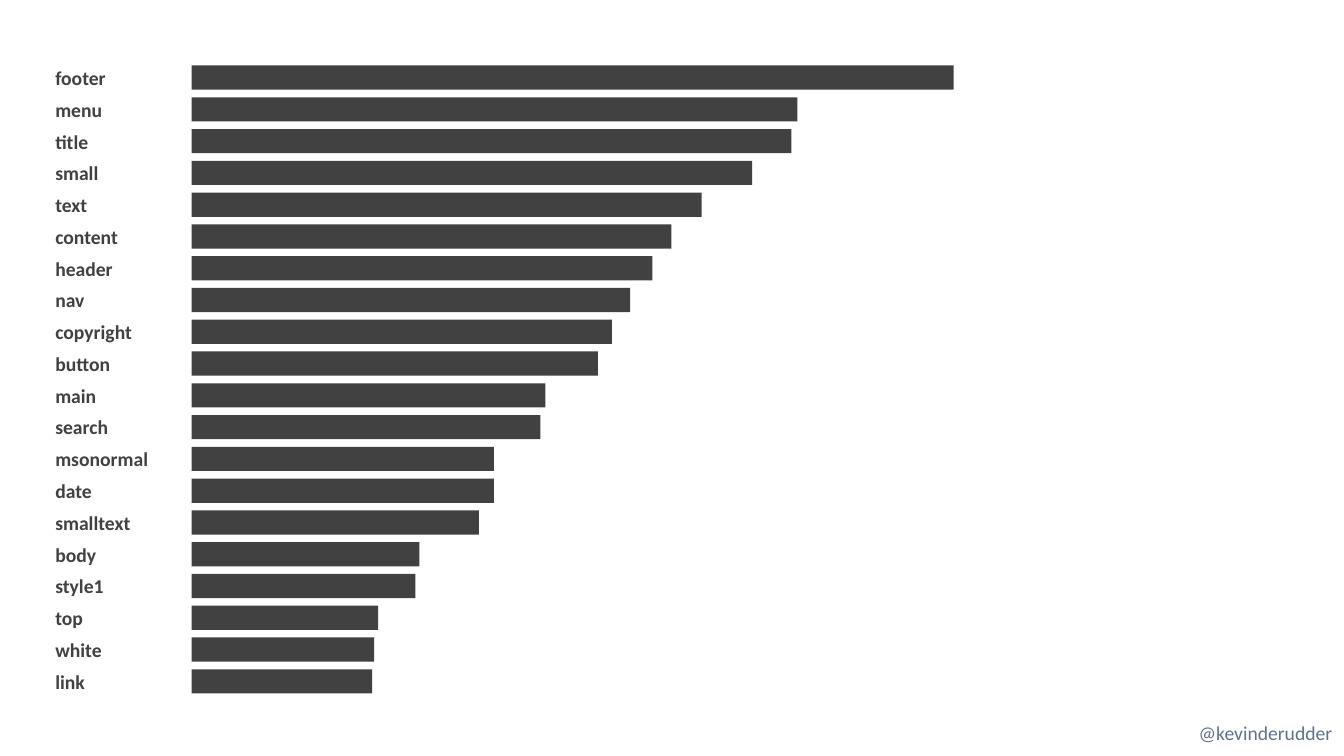
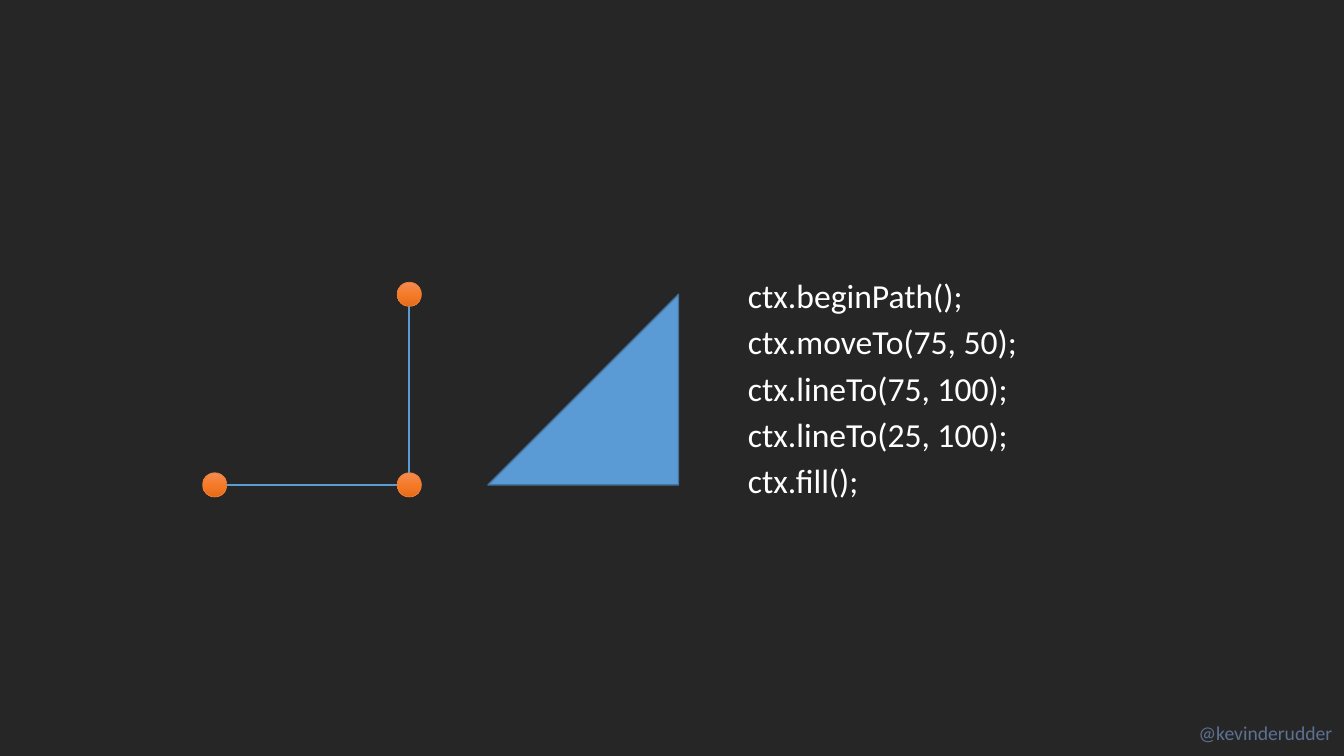
from copy import deepcopy
from dataclasses import dataclass
from itertools import pairwise

from pptx import Presentation
from pptx.dml.color import RGBColor
from pptx.enum.shapes import MSO_CONNECTOR, MSO_SHAPE
from pptx.enum.text import MSO_ANCHOR
from pptx.oxml.ns import qn
from pptx.oxml.xmlchemy import OxmlElement
from pptx.util import Inches, Pt

BARS = [
    ("footer", 7.56), ("menu", 6.01), ("title", 5.95), ("small", 5.56),
    ("text", 5.06), ("content", 4.76), ("header", 4.57), ("nav", 4.35),
    ("copyright", 4.17), ("button", 4.03), ("main", 3.51), ("search", 3.46),
    ("msonormal", 3), ("date", 3), ("smalltext", 2.85), ("body", 2.26),
    ("style1", 2.22), ("top", 1.85), ("white", 1.81), ("link", 1.79),
]
CODE = [
    "ctx.beginPath();",
    "ctx.moveTo(75, 50);",
    "ctx.lineTo(75, 100);",
    "ctx.lineTo(25, 100);",
    "ctx.fill();",
]
HANDLE = "@kevinderudder"
DOTS = [(4.06, 2.92), (4.06, 4.81), (2.13, 4.81)]


@dataclass(frozen=True)
class Theme:
    font: str = "Calibri"
    light: str = "FFFFFF"
    dark: str = "262626"
    bar: str = "414141"
    handle: str = "5D7291"
    blue: str = "5B9BD5"
    edge: str = "43739E"
    orange: str = "ED7D31"
    glow: tuple = ((0, "F18C57"), (0.5, "F67B28"), (1, "E56C19"))
    small: int = 14
    large: int = 24


THEME = Theme()


def rgb(code):
    return RGBColor.from_string(code)


def add_text(slide, lines, box, size=THEME.small, color=THEME.bar,
             bold=False, wrap=True, gap=0, anchor=MSO_ANCHOR.TOP):
    shape = slide.shapes.add_textbox(*map(Inches, box))
    frame = shape.text_frame
    frame.word_wrap = wrap
    frame.vertical_anchor = anchor
    for i, line in enumerate(lines):
        para = frame.add_paragraph() if i else frame.paragraphs[0]
        if i:
            para.space_before = Pt(gap)
        run = para.add_run()
        run.text = line
        font = run.font
        font.name, font.size, font.bold = THEME.font, Pt(size), bold
        font.color.rgb = rgb(color)
    return shape


def add_shape(slide, kind, box, fill=None, line=None, width=1):
    shape = slide.shapes.add_shape(kind, *map(Inches, box))
    shape.shadow.inherit = False
    if fill:
        shape.fill.solid()
        shape.fill.fore_color.rgb = rgb(fill)
    if line:
        shape.line.color.rgb = rgb(line)
        shape.line.width = Pt(width)
    else:
        shape.line.fill.background()
    return shape


def add_line(slide, start, end):
    line = slide.shapes.add_connector(
        MSO_CONNECTOR.STRAIGHT, *map(Inches, (*start, *end)))
    line.line.color.rgb = rgb(THEME.blue)
    line.line.width = Pt(1.5)
    line.element.spPr.append(OxmlElement("a:effectLst"))


def add_dot(slide, x, y, size=0.24):
    box = (x - size / 2, y - size / 2, size, size)
    dot = add_shape(slide, MSO_SHAPE.OVAL, box, line=THEME.orange, width=0.5)
    dot.fill.gradient()
    dot.fill.gradient_angle = 270
    stops = dot.element.spPr.find(".//" + qn("a:gsLst"))
    stops.append(deepcopy(stops[0]))
    for stop, (place, color) in zip(dot.fill.gradient_stops, THEME.glow):
        stop.position = place
        stop.color.rgb = rgb(color)


def add_slide(deck, layout, back):
    slide = deck.slides.add_slide(layout)
    slide.background.fill.solid()
    slide.background.fill.fore_color.rgb = rgb(back)
    return slide


def brand(layout, slide):
    """Move the handle to the layout, so that every slide shows it."""
    box = add_text(slide, [HANDLE], (11.79, 7.1, 1.54, 0.34),
                   color=THEME.handle, wrap=False)
    layout.shapes.element.append(box.element)


def draw_bars(slide):
    left, first, last, high = 1.9, 0.65, 6.64, 0.24
    step = (last - first) / (len(BARS) - 1)
    for i, (name, width) in enumerate(BARS):
        top = first + i * step
        add_shape(slide, MSO_SHAPE.RECTANGLE, (left, top, width, high),
                  fill=THEME.bar)
        add_text(slide, [name], (0.45, top - 0.05, 1.36, 0.34),
                 bold=True, anchor=MSO_ANCHOR.MIDDLE)


def draw_code(slide):
    wedge = add_shape(slide, MSO_SHAPE.RIGHT_TRIANGLE,
                      (4.84, 2.92, 1.89, 1.89), THEME.blue, THEME.edge)
    wedge.element.spPr.xfrm.set("flipH", "1")
    for start, end in pairwise(DOTS):
        add_line(slide, start, end)
    for x, y in DOTS:
        add_dot(slide, x, y)
    add_text(slide, CODE, (7.32, 2.68, 4.02, 2.36), size=THEME.large,
             color=THEME.light, gap=4.2)


def main():
    deck = Presentation()
    deck.slide_width, deck.slide_height = Inches(13.33), Inches(7.5)
    layout = deck.slide_layouts[6]
    chart = add_slide(deck, layout, THEME.light)
    brand(layout, chart)
    draw_bars(chart)
    draw_code(add_slide(deck, layout, THEME.dark))
    deck.save("out.pptx")


if __name__ == "__main__":
    main()
